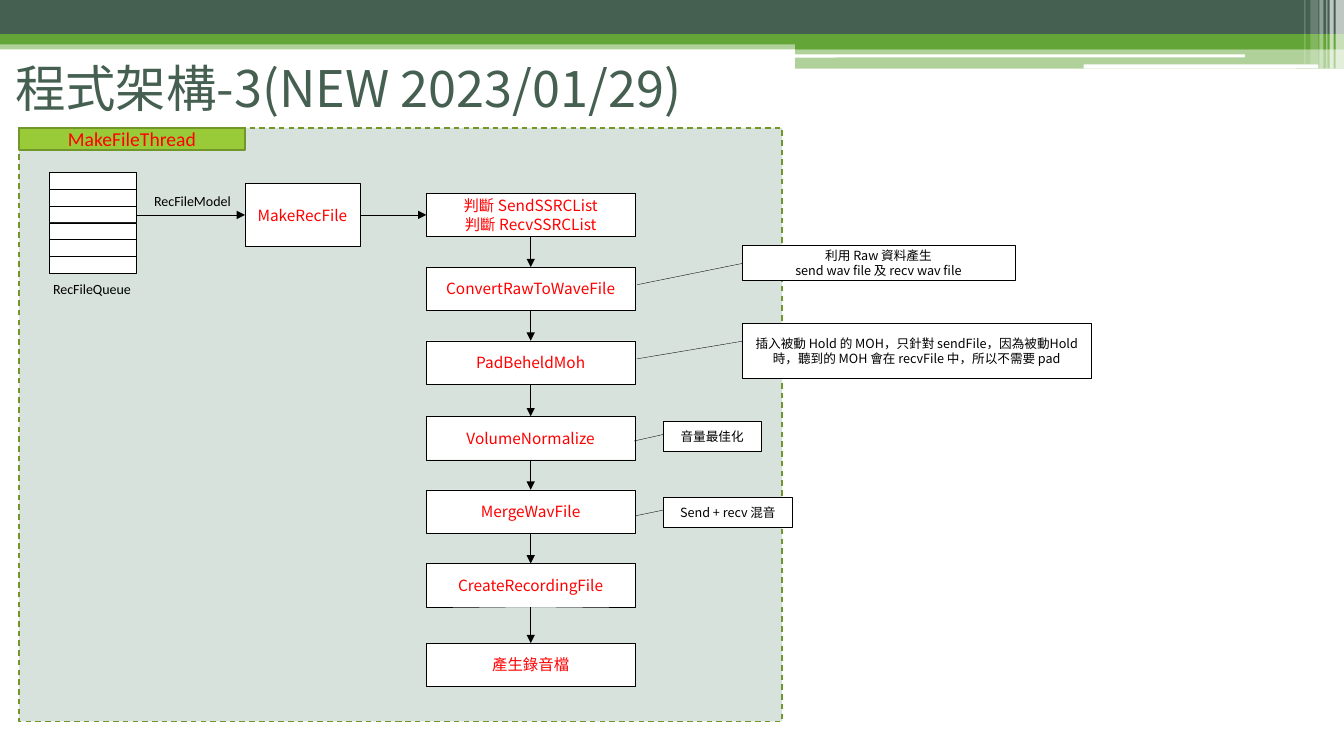
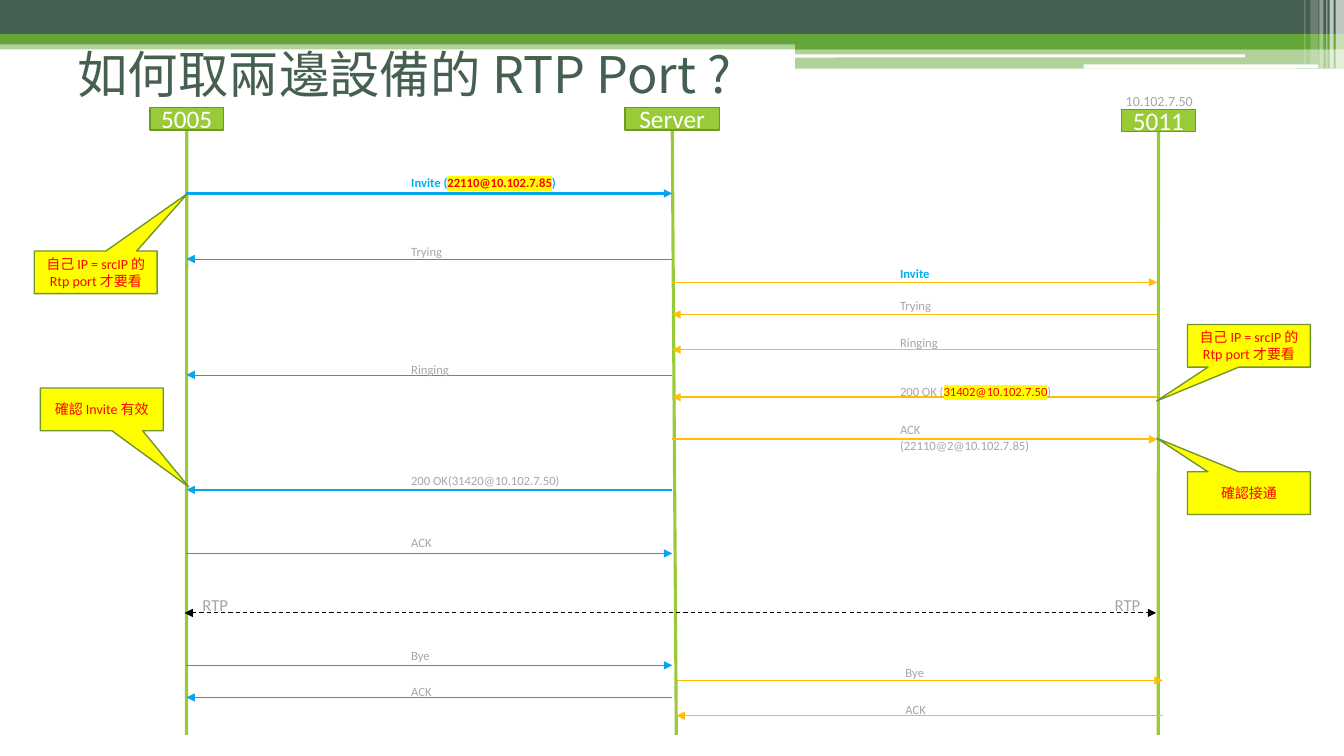
from lxml import etree
from pptx import Presentation
from pptx.dml.color import RGBColor
from pptx.enum.dml import MSO_LINE
from pptx.enum.shapes import MSO_CONNECTOR, MSO_SHAPE
from pptx.enum.text import MSO_ANCHOR, MSO_AUTO_SIZE, PP_ALIGN
from pptx.oxml.ns import qn
from pptx.util import Pt

RECTANGLE = MSO_SHAPE.RECTANGLE
ROUNDED = MSO_SHAPE.ROUNDED_RECTANGLE
LINE_CALLOUT = MSO_SHAPE.LINE_CALLOUT_1
WEDGE_CALLOUT = MSO_SHAPE.RECTANGULAR_CALLOUT
STRAIGHT = MSO_CONNECTOR.STRAIGHT
DASH = MSO_LINE.DASH
MIDDLE = MSO_ANCHOR.MIDDLE
LEFT, CENTER = PP_ALIGN.LEFT, PP_ALIGN.CENTER
FIT_SHAPE, NO_FIT = MSO_AUTO_SIZE.SHAPE_TO_FIT_TEXT, MSO_AUTO_SIZE.NONE
TOP_SITE, LEFT_SITE, BOTTOM_SITE, RIGHT_SITE = range(4)

LATIN, CJK, FLOW = "Calibri", "Noto Sans CJK TC", "Noto Sans CJK SC"
WHITE, BLACK, RED, YELLOW = "FFFFFF", "000000", "FF0000", "FFFF00"
DARK, GREEN, LIME, OLIVE = "455F51", "63A537", "99CB38", "719629"
MIST, GRAY, SKY = "D7E2DC", "A6A6A6", "00B0F0"
BLUE, ORANGE = "08A5EF", "FFC000"

# kind, box, fill, opacity in percent
BANDS = [
    (RECTANGLE, (0, 28.8, 960, 6.5), GREEN, 50),
    (RECTANGLE, (0, 0, 960, 24.5), DARK, 100),
    (RECTANGLE, (0, 24.5, 960, 7.2), GREEN, 100),
    (RECTANGLE, (568, 28.1, 392, 7.2), GREEN, 100),
    (RECTANGLE, (568, 34.6, 392, 14.4), GREEN, 50),
    (ROUNDED, (567.4, 38.9, 321.8, 2.2), WHITE, 100),
    (ROUNDED, (774, 46.1, 167.8, 2.9), WHITE, 100),
    (RECTANGLE, (954, 0, 6, 49), WHITE, 65),
    (RECTANGLE, (949.7, 0, 2.9, 49), WHITE, 65),
    (RECTANGLE, (947.5, 0, 0.7, 49), WHITE, 60),
    (RECTANGLE, (942.5, 0, 2.9, 49), WHITE, 40),
    (RECTANGLE, (936, 0, 5.8, 46), WHITE, 20),
    (RECTANGLE, (931.7, 0, 0.7, 46), WHITE, 30),
]

# top, lines of text
STEPS = [
    (138, ["判斷 SendSSRCList", "判斷 RecvSSRCList"]),
    (190.8, ["ConvertRawToWaveFile"]),
    (243.4, ["PadBeheldMoh"]),
    (297.4, ["VolumeNormalize"]),
    (349.9, ["MergeWavFile"]),
    (402.5, ["CreateRecordingFile"]),
    (459.4, ["產生錄音檔"]),
]

# box, pointer, lines of text
STEP_NOTES = [
    ((529.9, 175, 195.1, 25.2), (0.525, 0, 1.125, -0.383),
     ["利用 Raw 資料產生", "send wav file 及 recv wav file"]),
    ((529.9, 231.1, 249.8, 38.9), (0.327, 0, 0.65, -0.3),
     ["插入被動 Hold 的 MOH，只針對 sendFile，因為被動Hold時，"
      "聽到的 MOH 會在 recvFile 中，所以不需要 pad"]),
    ((473.8, 301, 69.8, 21.6), (0.434, 0, 0.65, -0.3), ["音量最佳化"]),
    ((473.8, 355, 92.2, 21.6), (0.434, 0, 0.623, -0.215),
     ["Send + recv 混音"]),
]

# left, right, label left, colour
LANES = {
    "caller": (133.2, 480.2, 286.6, BLUE),
    "callee": (480.2, 826.6, 635.8, ORANGE),
    "callee end": (483.3, 830.5, 639.7, ORANGE),
}

# lane, line top, rightward, weight, label, label top, label width
MESSAGES = [
    ("caller", 138.2, True, 1.5, "Invite (|22110@10.102.7.85|)", 121.7, 118),
    ("caller", 185, False, 0.5, "Trying", 170.6, 37.4),
    ("callee", 201.6, True, 0.5, "Invite", 186.5, 36),
    ("callee", 224.6, False, 0.5, "Trying", 209.5, 37.4),
    ("callee", 249.8, False, 0.5, "Ringing", 235.4, 41.8),
    ("caller", 267.8, False, 0.5, "Ringing", 254.9, 41.8),
    ("callee", 283.7, False, 1.5, "200 OK (|31402@10.102.7.50|)", 270.7, 122.4),
    ("callee", 313.9, True, 1.5, "ACK (22110@2@10.102.7.85)", 298.1, 121),
    ("caller", 349.9, False, 1.5, "200 OK(31420@10.102.7.50)", 334.1, 120.2),
    ("caller", 395.3, True, 0.5, "ACK", 378.7, 29.5),
    ("caller", 475.2, True, 0.5, "Bye", 459.4, 28.1),
    ("caller", 498.2, False, 0.5, "ACK", 485.3, 29.5),
    ("callee end", 486, True, 0.5, "Bye", 471.6, 28.1),
    ("callee end", 511.2, False, 0.5, "ACK", 497.5, 29.5),
]

# left, top, pointer, text
HINTS = [
    (848.2, 231.8, (-0.751, 1.292), "自己 IP = srcIP 的 Rtp port 才要看"),
    (24.5, 179.3, (0.749, -1.85), "自己 IP = srcIP 的 Rtp port 才要看"),
    (28.8, 277.2, (0.706, 1.812), "確認 Invite 有效"),
    (848.2, 337, (-0.751, -1.288), "確認接通"),
]


def color(code):
    """Return the colour of a hex string."""
    return RGBColor.from_string(code)


def add_child(parent, tag, **attributes):
    """Append a drawing element to an XML parent."""
    child = etree.SubElement(parent, qn(tag))
    for name, value in attributes.items():
        child.set(name, value)
    return child


def write_text(shape, lines, size, ink, face=LATIN, align=CENTER, bold=None):
    """Write paragraphs; the part between two bars is red on yellow."""
    frame = shape.text_frame
    for index, line in enumerate(lines):
        para = frame.add_paragraph() if index else frame.paragraphs[0]
        para.alignment = align
        font = para.font
        font.size, font.name, font.bold = Pt(size), face, bold
        font.color.rgb = color(ink)
        add_child(para._p.pPr.find(qn("a:defRPr")), "a:ea",
                  typeface=CJK if face == LATIN else face)
        for part, text in enumerate(line.split("|")):
            span = para.add_run()
            span.text = text
            if part % 2:
                span.font.color.rgb = color(RED)
                mark = add_child(span._r.rPr, "a:highlight")
                add_child(mark, "a:srgbClr", val=YELLOW)


def add_box(page, box, fill, line=None, weight=0.25, kind=RECTANGLE, pointer=()):
    """Add a filled preset shape with an optional outline and pointer."""
    shape = page.shapes.add_shape(kind, *map(Pt, box))
    shape.shadow.inherit = False
    shape.fill.solid()
    shape.fill.fore_color.rgb = color(fill)
    if line:
        shape.line.color.rgb = color(line)
        shape.line.width = Pt(weight)
    else:
        shape.line.fill.background()
    for index, value in enumerate(pointer):
        shape.adjustments[index] = value
    shape.text_frame.vertical_anchor = MIDDLE
    return shape


def add_label(page, box, text, size=10, ink=GRAY, bold=None, wrap=False):
    """Add a free text label."""
    label = page.shapes.add_textbox(*map(Pt, box))
    label.text_frame.word_wrap = wrap
    label.text_frame.auto_size = FIT_SHAPE
    write_text(label, [text], size, ink, align=LEFT, bold=bold)


def add_line(page, start, end, ink=BLACK, weight=0.5, ends=("tailEnd",), dash=None):
    """Add a straight line with arrowheads at the named ends."""
    line = page.shapes.add_connector(STRAIGHT, *map(Pt, start + end))
    line.line.color.rgb = color(ink)
    line.line.width = Pt(weight)
    if dash:
        line.line.dash_style = dash
    properties = line.element.spPr
    for name in ends:
        add_child(properties.find(qn("a:ln")), "a:" + name, type="triangle")
    add_child(properties, "a:effectLst")
    return line


def join(page, first, first_site, second, second_site):
    """Draw an arrow glued to two shapes."""
    arrow = add_line(page, (0, 0), (1, 1))
    arrow.begin_connect(first, first_site)
    arrow.end_connect(second, second_site)


def add_bands(page):
    """Build the header bands and move them to the page's layout."""
    tree = page.slide_layout.shapes.element
    for index, (kind, box, fill, opacity) in enumerate(BANDS):
        band = add_box(page, box, fill, kind=kind)
        if opacity < 100:
            tint = band.element.spPr.find(qn("a:solidFill"))[0]
            add_child(tint, "a:alpha", val=str(opacity * 1000))
        band.element[0][0].set("id", str(100 + index))
        tree.insert(2 + index, band.element)


def add_page(deck, layout, title, box):
    """Add a slide and set its title."""
    page = deck.slides.add_slide(layout)
    holder = page.shapes.title
    holder.left, holder.top, holder.width, holder.height = map(Pt, box)
    holder.text_frame.auto_size = NO_FIT
    holder.text_frame.vertical_anchor = MIDDLE
    write_text(holder, [title], 36, DARK, CJK, LEFT)
    return page


def add_queue(page, left, top, width, cell=12, count=6):
    """Stack the queue's cells and label them."""
    for index in range(count):
        add_box(page, (left, top + index * cell, width, cell), WHITE, BLACK)
    add_label(page, (left - 4.5, top + count * cell + 1.5, 71.3, 19.4),
              "RecFileQueue", ink=BLACK)


def add_steps(page, left, width, height):
    """Stack the steps, join them and return the first one."""
    boxes = []
    for top, lines in STEPS:
        box = add_box(page, (left, top, width, height), WHITE, BLACK)
        write_text(box, lines, 11, RED, FLOW)
        boxes.append(box)
    for upper, lower in zip(boxes, boxes[1:]):
        join(page, upper, BOTTOM_SITE, lower, TOP_SITE)
    return boxes[0]


def add_thread(page, left, top, width, height):
    """Draw the thread panel with its queue, steps and notes."""
    add_box(page, (left, top, width, height), MIST, OLIVE, 1).line.dash_style = DASH
    heading = add_box(page, (left, top, 161.3, 15.8), LIME, OLIVE, 1)
    write_text(heading, ["MakeFileThread"], 14, RED)
    add_queue(page, left + 21.6, top + 31.7, 62)
    maker = add_box(page, (left + 161.3, top + 39.6, 82, 45), WHITE, BLACK)
    write_text(maker, ["MakeRecFile"], 11, RED, FLOW)
    middle = top + 62.1
    add_line(page, (left + 83.6, middle), (left + 161.3, middle))
    add_label(page, (left + 89.3, top + 42.5, 69.8, 19.4), "RecFileModel", ink=BLACK)
    first = add_steps(page, left + 290.9, 149, 31)
    join(page, maker, RIGHT_SITE, first, LEFT_SITE)
    for box, pointer, lines in STEP_NOTES:
        note = add_box(page, box, WHITE, BLACK, kind=LINE_CALLOUT, pointer=pointer)
        write_text(note, lines, 9, BLACK, FLOW)


def add_lifeline(page, name, center, top, width, foot):
    """Draw a device's head and its lifeline down to the foot."""
    add_line(page, (center, top + 15.5), (foot, 525), LIME, 2.25, ends=())
    head = add_box(page, (center - width / 2, top, width, 15.8), LIME, OLIVE, 1)
    write_text(head, [name], 18, WHITE)


def add_message(page, lane, top, rightward, weight, text, label_top, width):
    """Draw a message arrow in its lane with its label."""
    left, right, label_left, ink = LANES[lane]
    start, end = (left, right) if rightward else (right, left)
    add_line(page, (start, top), (end, top), ink, weight)
    invite = text.startswith("Invite")
    add_label(page, (label_left, label_top, width, 18), text, 9,
              SKY if invite else GRAY, invite or None, text.startswith("ACK ("))


def add_sequence(page):
    """Draw the devices, their messages and the hints."""
    add_lifeline(page, "5005", 133.4, 77, 52.6, 133.2)
    add_lifeline(page, "Server", 480.2, 77, 67.7, 483.1)
    add_lifeline(page, "5011", 827.5, 78, 52.6, 827.3)
    add_label(page, (797, 62.6, 63.4, 19.4), "10.102.7.50")
    for message in MESSAGES:
        add_message(page, *message)
    add_line(page, (131.8, 437.8), (825.8, 437.8), BLACK, 0.75,
             ("headEnd", "tailEnd"), DASH)
    for left in (137.5, 789.1):
        add_label(page, (left, 421.5, 33.1, 21.6), "RTP", 12)
    for left, top, pointer, text in HINTS:
        hint = add_box(page, (left, top, 87.8, 30.5), YELLOW, OLIVE, 1,
                       WEDGE_CALLOUT, pointer)
        write_text(hint, [text], 10, RED)


def main():
    """Build and save the deck."""
    deck = Presentation()
    deck.slide_width, deck.slide_height = Pt(960), Pt(540)
    layout = deck.slide_layouts[5]
    flow = add_page(deck, layout, "程式架構-3(NEW 2023/01/29)", (3.6, 38.2, 572.4, 48.2))
    add_bands(flow)
    add_thread(flow, 13.7, 91.4, 545, 424)
    calls = add_page(deck, layout, "如何取兩邊設備的 RTP Port ?", (48.2, 31, 864, 42.5))
    add_sequence(calls)
    deck.save("out.pptx")


main()
